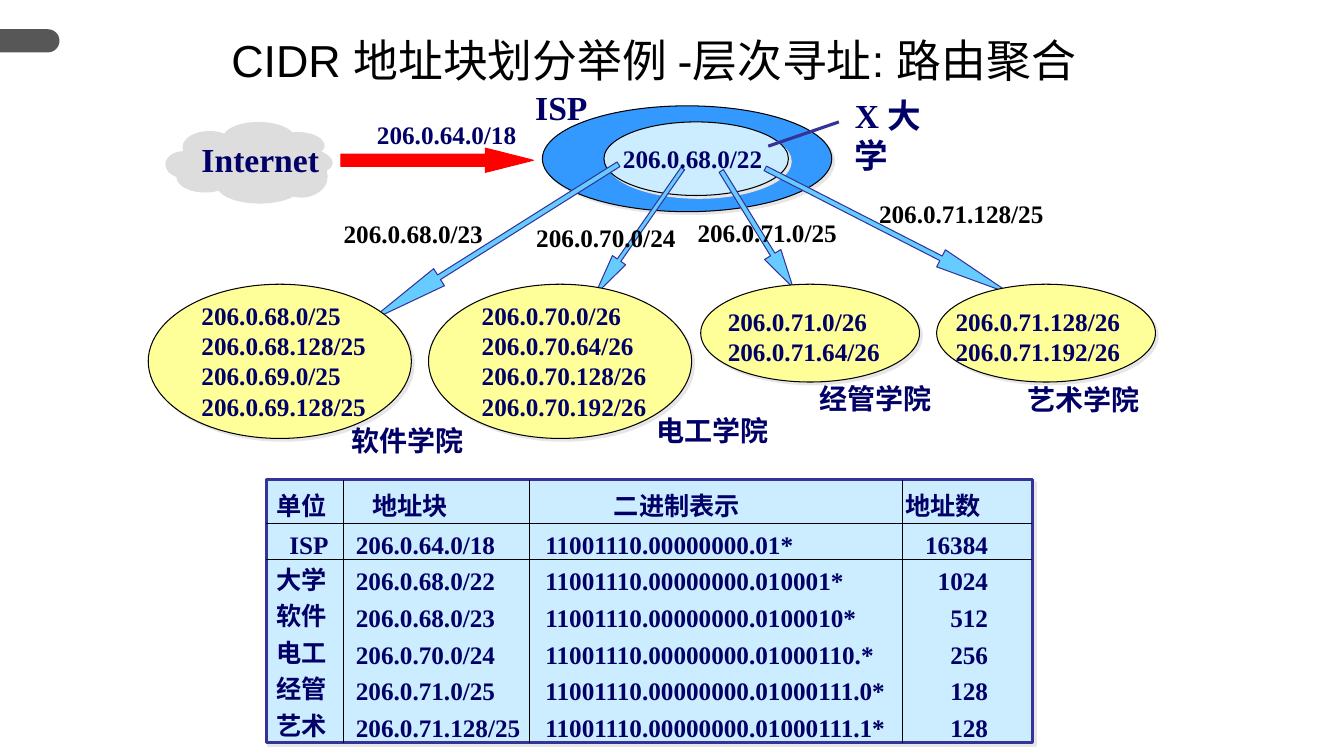
from pptx import Presentation
from pptx import util as u
from pptx.dml.color import RGBColor
from pptx.enum import shapes, text
from pptx.oxml import ns
from lxml import etree

Inches, Pt, Kind = u.Inches, u.Pt, shapes.MSO_SHAPE
NAVY = RGBColor(0, 0, 0x66)
BLACK = RGBColor(0, 0, 0)
GREY = RGBColor(0x57, 0x57, 0x57)
MIST = RGBColor(0xDD, 0xDD, 0xDD)
BLUE = RGBColor(0x33, 0x99, 0xFF)
PALE = RGBColor(0xCC, 0xEC, 0xFF)
SKY = RGBColor(0x66, 0xCC, 0xFF)
INK = RGBColor(0x33, 0x33, 0x99)
RED = RGBColor(0xFF, 0, 0)
CREAM = RGBColor(0xFF, 0xFF, 0x99)
SHADE = RGBColor(0xE7, 0xE6, 0xE6)

deck = Presentation()
deck.slide_width, deck.slide_height = Inches(13.33), Inches(7.5)
slide = deck.slides.add_slide(deck.slide_layouts[5])


def draw(kind, box, fill, line=None, width=0.75, shade=False):
    shape = slide.shapes.add_shape(kind, *map(Inches, box))
    shape.shadow.inherit = False
    shape.fill.solid()
    shape.fill.fore_color.rgb = fill
    if line is None:
        shape.line.fill.background()
    else:
        shape.line.color.rgb = line
        shape.line.width = Pt(width)
    if shade:
        list_ = shape._element.spPr.find(ns.qn("a:effectLst"))
        outer = etree.SubElement(list_, ns.qn("a:outerShdw"), dist=str(Pt(2.8)),
                                 dir="2700000", algn="ctr", rotWithShape="0")
        etree.SubElement(outer, ns.qn("a:srgbClr"), val=str(SHADE))
    return shape


def write(box, lines, size=18, color=NAVY, wrap=False):
    frame = slide.shapes.add_textbox(*map(Inches, box)).text_frame
    frame.word_wrap = wrap
    frame.auto_size = text.MSO_AUTO_SIZE.SHAPE_TO_FIT_TEXT
    for i, line in enumerate(lines):
        para = frame.add_paragraph() if i else frame.paragraphs[0]
        run = para.add_run()
        run.text = line
        run.font.name, run.font.size, run.font.bold = "Times New Roman", Pt(size), True
        run.font.color.rgb = color


pill = draw(Kind.ROUND_2_SAME_RECTANGLE, (0.18, 0.11, 0.23, 0.59), GREY)
pill.adjustments[0] = 0.5
pill.rotation = 90

title = slide.shapes.title
title.left, title.top, title.width, title.height = map(Inches, (0.27, 0.28, 12.43, 0.69))
title.text_frame.auto_size = text.MSO_AUTO_SIZE.NONE
title.text_frame.vertical_anchor = text.MSO_ANCHOR.MIDDLE
para = title.text_frame.paragraphs[0]
para.alignment, para.line_spacing = text.PP_ALIGN.CENTER, 0.9
run = para.add_run()
run.text = "CIDR 地址块划分举例 -层次寻址: 路由聚合"
run.font.name, run.font.size = "Arial", Pt(32)
run.font.color.rgb = BLACK

puffs = [(2.21, 1.21, 0.71, 0.32), (1.81, 1.3, 0.54, 0.32), (1.64, 1.5, 0.36, 0.26),
         (1.75, 1.62, 0.55, 0.28), (2.15, 1.67, 0.83, 0.34), (2.69, 1.31, 0.52, 0.25),
         (2.77, 1.48, 0.52, 0.25), (2.72, 1.53, 0.52, 0.42), (1.94, 1.41, 1.07, 0.42)]
for shift in (0.01, 0):
    for x, y, w, h in puffs:
        draw(Kind.OVAL, (x + shift, y + shift, w, h), MIST)
write((1.9, 1.33, 1.38, 0.5), ["Internet"], 24)

draw(Kind.OVAL, (5.38, 1.05, 2.87, 1.05), BLUE, BLACK, shade=True)
draw(Kind.OVAL, (5.99, 1.21, 1.83, 0.73), PALE, BLACK, shade=True)

arrows = [((3.38, 1.47, 1.91, 0.24), 0, 0.5, 1.98, RED, RED),
          ((7.44, 2.2, 2.74, 0.19), 27.1, 0.27, 4.11, SKY, INK),
          ((3.43, 2.31, 2.93, 0.2), 147.8, 0.27, 4.13, SKY, INK),
          ((5.57, 2.22, 1.53, 0.16), 124.8, 0.27, 2.64, SKY, INK),
          ((6.83, 2.18, 1.36, 0.19), 58.4, 0.27, 2.03, SKY, INK)]
for box, turn, shaft, head, fill, line in arrows:
    arrow = draw(Kind.RIGHT_ARROW, box, fill, line)
    arrow.adjustments[0], arrow.adjustments[1] = shaft, head
    arrow.rotation = turn

schools = [
    ((1.47, 2.82, 2.61, 1.53), (1.9, 2.93, 1.83, 1.3),
     ["206.0.68.0/25", "206.0.68.128/25", "206.0.69.0/25", "206.0.69.128/25"],
     "软件学院", 3.39, 4.15),
    ((4.25, 2.82, 2.61, 1.53), (4.68, 2.93, 1.83, 1.3),
     ["206.0.70.0/26", "206.0.70.64/26", "206.0.70.128/26", "206.0.70.192/26"],
     "电工学院", 6.41, 4.05),
    ((6.95, 2.82, 2.17, 0.97), (7.12, 2.99, 1.71, 0.7),
     ["206.0.71.0/26", "206.0.71.64/26"], "经管学院", 8.03, 3.74),
    ((9.29, 2.82, 2.17, 0.97), (9.38, 2.99, 1.83, 0.7),
     ["206.0.71.128/26", "206.0.71.192/26"], "艺术学院", 10.09, 3.75)]
for oval, box, nets, name, x, y in schools:
    draw(Kind.OVAL, oval, CREAM, BLACK, shade=True)
    write(box, nets)
    write((x, y, 1.33, 0.44), [name], 20)

labels = [("206.0.68.0/22", 6.08, 1.37, 1.58, NAVY), ("206.0.64.0/18", 3.64, 1.13, 1.58, NAVY),
          ("206.0.68.0/23", 3.31, 2.12, 1.58, BLACK), ("206.0.70.0/24", 5.22, 2.16, 1.58, BLACK),
          ("206.0.71.0/25", 6.82, 2.11, 1.58, BLACK), ("206.0.71.128/25", 8.62, 1.92, 1.83, BLACK)]
for net, x, y, w, color in labels:
    write((x, y, w, 0.4), [net], color=color)
write((5.21, 0.81, 0.72, 0.5), ["ISP"], 24)
write((8.38, 0.89, 1.1, 0.9), ["X 大学"], 24, wrap=True)

link = slide.shapes.add_connector(shapes.MSO_CONNECTOR.STRAIGHT,
                                  *map(Inches, (7.62, 1.45, 8.32, 1.21)))
link.line.color.rgb = INK
link.line.width = Pt(2.25)
etree.SubElement(link._element.spPr, ns.qn("a:effectLst"))

rows = [("单位", "地址块", "二进制表示", "地址数"),
        ("ISP", "206.0.64.0/18", "11001110.00000000.01*", "16384"),
        ("大学", "206.0.68.0/22", "11001110.00000000.010001*", "1024"),
        ("软件", "206.0.68.0/23", "11001110.00000000.0100010*", "512"),
        ("电工", "206.0.70.0/24", "11001110.00000000.01000110.*", "256"),
        ("经管", "206.0.71.0/25", "11001110.00000000.01000111.0*", "128"),
        ("艺术", "206.0.71.128/25", "11001110.00000000.01000111.1*", "128")]
draw(Kind.RECTANGLE, (2.64, 4.76, 7.6, 2.61), PALE, INK, 2.25, True)
grid = slide.shapes.add_table(7, 4, *map(Inches, (2.64, 4.76, 7.6, 2.61))).table
grid.first_row = grid.horz_banding = False
grid._tbl.tblPr.find(ns.qn("a:tableStyleId")).text = "{2D5ABB26-0587-4C30-8999-92F81FD0307C}"
for col, wide in zip(grid.columns, (0.77, 1.84, 3.7, 1.29)):
    col.width = Inches(wide)
for r, row in enumerate(rows):
    grid.rows[r].height = Inches(2.18 / 6 if r else 0.43)
    insets = (0.1, 0.12, 0.16, 0) if r else (0.1, 0.28, 0.84, 0.03)
    for c, word in enumerate(row):
        cell = grid.cell(r, c)
        cell.margin_left = Inches(0.23 if word == "ISP" else insets[c])
        cell.margin_right = Inches(0.44 if r and c == 3 else 0)
        cell.margin_top = cell.margin_bottom = 0
        cell.vertical_anchor = text.MSO_ANCHOR.BOTTOM
        para = cell.text_frame.paragraphs[0]
        para.alignment = text.PP_ALIGN.RIGHT if r and c == 3 else text.PP_ALIGN.LEFT
        run = para.add_run()
        run.text = word
        run.font.name, run.font.size, run.font.bold = "Times New Roman", Pt(18), True
        run.font.color.rgb = NAVY
        sides = [("lnL", c > 0), ("lnR", c < 3), ("lnT", r == 1), ("lnB", r == 0)]
        for side, shown in sides:
            if shown:
                edge = etree.SubElement(cell._tc.get_or_add_tcPr(), ns.qn("a:" + side),
                                        w=str(Pt(0.75)))
                ink = etree.SubElement(edge, ns.qn("a:solidFill"))
                etree.SubElement(ink, ns.qn("a:srgbClr"), val=str(BLACK))
        cell.fill.background()

deck.save("out.pptx")
